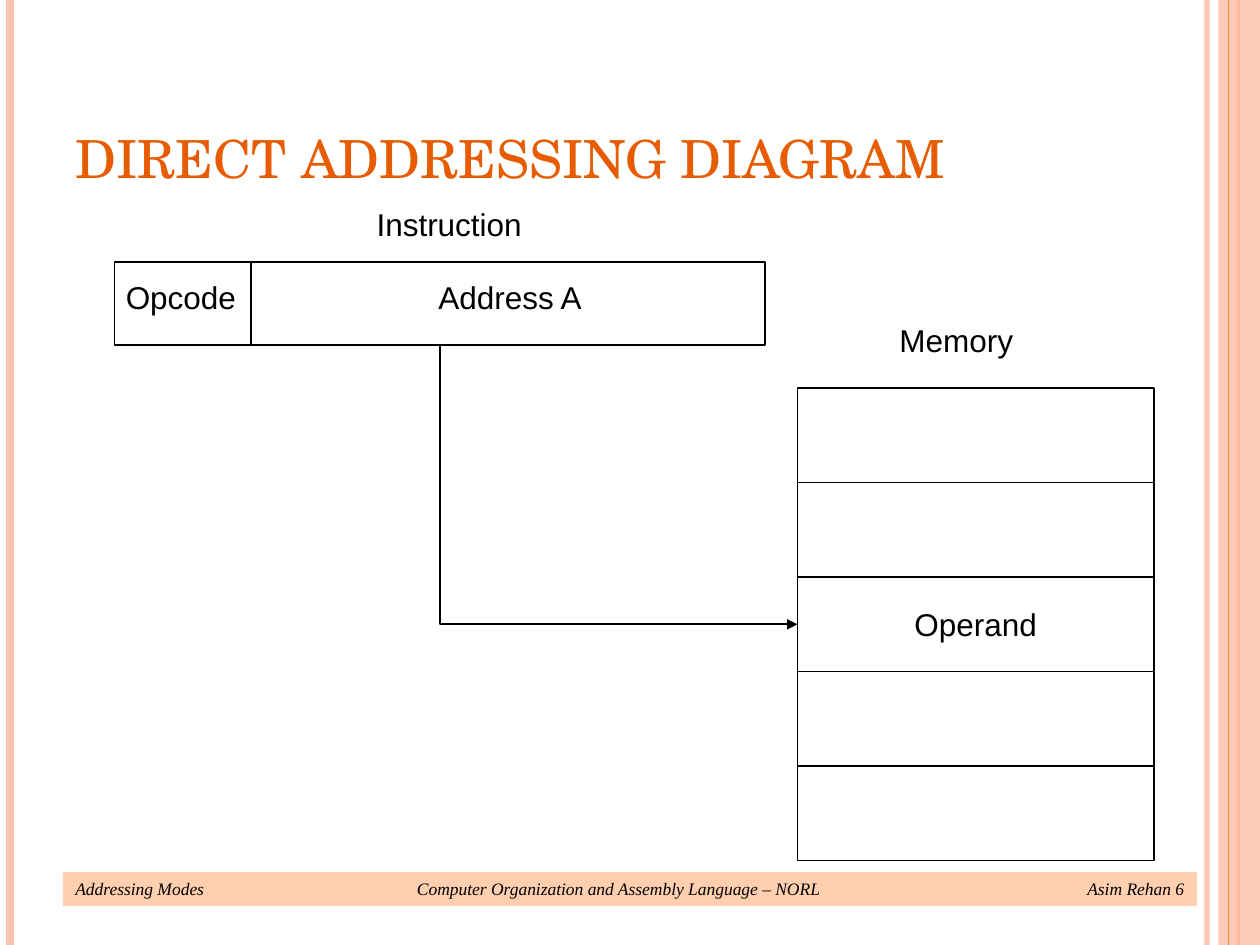
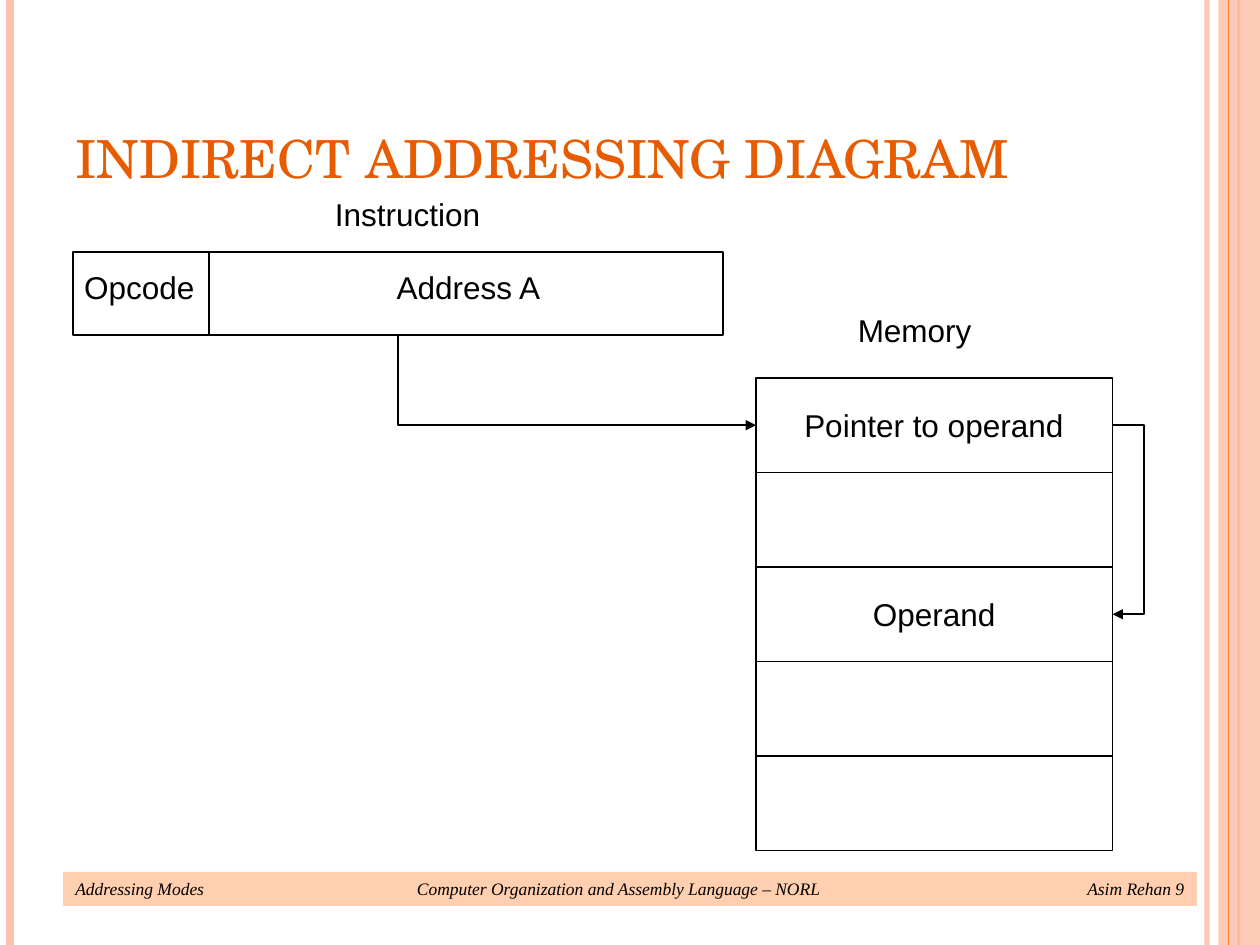
from lxml.etree import SubElement
from pptx import Presentation
from pptx.dml.color import RGBColor
from pptx.enum.shapes import MSO_CONNECTOR, MSO_SHAPE
from pptx.enum.text import MSO_ANCHOR, MSO_AUTO_SIZE as FIT, PP_ALIGN
from pptx.oxml.ns import qn
from pptx.util import Inches, Pt

# Shared look
BLACK, TITLE, BAND = "000000", "E75C01", "FFCFAF"
PINK, ORANGE = "FEC3AE", "FE8637"
TITLE_FONT, LABEL_FONT, FOOTER_FONT = "TeX Gyre Schola", "Arial", "Times New Roman"
SIDE_LINES = [  # x, colour, width in points, opacity in percent
    (9.58, PINK, 3, 93),
    (0.08, PINK, 4.5, 100),
    (9.83, ORANGE, 1.5, 100),
]
FOOTER = "Addressing Modes\tComputer Organization and Assembly Language – NORL\tAsim Rehan {}"

# Diagram sizes
INSTR_W, INSTR_H = 5.16, 0.66
MEM_DX, MEM_DY, MEM_W, ROW_H, ROWS = 5.42, 1.0, 2.83, 0.75, 5
LABEL_H = 0.4


def rgb(color):
    return RGBColor.from_string(color)


def set_opacity(sp, percent):
    for clr in sp._element.spPr.iter(qn("a:srgbClr")):
        SubElement(clr, qn("a:alpha"), val=str(percent * 1000))


def style_font(p, name, size, color, italic=False):
    p.font.name, p.font.size, p.font.italic = name, Pt(size), italic
    p.font.color.rgb = rgb(color)


def add_rect(slide, x, y, w, h, fill=None, line=None):
    sp = slide.shapes.add_shape(MSO_SHAPE.RECTANGLE, *map(Inches, (x, y, w, h)))
    sp.shadow.inherit = False
    if fill:
        sp.fill.solid()
        sp.fill.fore_color.rgb = rgb(fill)
    else:
        sp.fill.background()
    if line:
        sp.line.color.rgb = rgb(line)
        sp.line.width = Pt(1)
    else:
        sp.line.fill.background()
    return sp


def add_line(slide, x, y1, y2, color=BLACK, width=1):
    ln = slide.shapes.add_connector(MSO_CONNECTOR.STRAIGHT, *map(Inches, (x, y1, x, y2)))
    ln.line.color.rgb = rgb(color)
    ln.line.width = Pt(width)
    SubElement(ln._element.spPr, qn("a:effectLst"))
    return ln


def add_label(slide, text, x, y, w):
    sp = slide.shapes.add_textbox(*map(Inches, (x, y, w, LABEL_H)))
    tf = sp.text_frame
    tf.word_wrap = False
    tf.auto_size = FIT.SHAPE_TO_FIT_TEXT
    tf.text = text
    style_font(tf.paragraphs[0], LABEL_FONT, 18, BLACK)


def add_arrow(slide, points):
    start, *rest = [(Inches(x), Inches(y)) for x, y in points]
    builder = slide.shapes.build_freeform(*start)
    builder.add_line_segments(rest, close=False)
    sp = builder.convert_to_shape()
    sp.shadow.inherit = False
    sp.fill.background()
    sp.line.color.rgb = rgb(BLACK)
    sp.line.width = Pt(1)
    SubElement(sp.line._get_or_add_ln(), qn("a:tailEnd"), type="triangle")


def add_frame(slide, number):
    # Side stripes, the last line on top of the wide band
    for x, color, width, opacity in SIDE_LINES:
        ln = add_line(slide, x, 0, 7.5, color, width)
        if opacity < 100:
            set_opacity(ln, opacity)
    set_opacity(add_rect(slide, 9.67, 0, 0.33, 7.5, fill=PINK), 87)
    add_line(slide, 9.75, 0, 7.5, ORANGE, 0.75)

    # Footer band with centre and right tab stops
    tf = add_rect(slide, 0.5, 6.92, 9, 0.27, fill=BAND).text_frame
    tf.word_wrap = True
    tf.text = FOOTER.format(number)
    p = tf.paragraphs[0]
    p.alignment = PP_ALIGN.LEFT
    style_font(p, FOOTER_FONT, 10, BLACK, italic=True)
    tabs = SubElement(p._p.get_or_add_pPr(), qn("a:tabLst"))
    p._p.pPr.insert(0, tabs)
    for pos, align in ((4.31, "ctr"), (8.8, "r")):
        SubElement(tabs, qn("a:tab"), pos=str(Inches(pos)), algn=align)


def add_title(slide, text):
    sp = slide.shapes.title
    sp.left, sp.top, sp.width, sp.height = map(Inches, (0.5, 0.3, 8.17, 1.25))
    tf = sp.text_frame
    tf.auto_size = FIT.NONE
    tf.vertical_anchor = MSO_ANCHOR.BOTTOM
    tf.text = text
    p = tf.paragraphs[0]
    p.alignment = PP_ALIGN.LEFT
    style_font(p, TITLE_FONT, 30, TITLE)


def add_instruction(slide, x, y):
    add_rect(slide, x, y, INSTR_W, INSTR_H, line=BLACK)
    add_line(slide, x + 1.08, y + 0.01, y + INSTR_H)
    add_label(slide, "Address A", x + 2.47, y + 0.08, 1.35)
    add_label(slide, "Opcode", x - 0.01, y + 0.08, 1.1)
    add_label(slide, "Instruction", x + 1.98, y - 0.5, 1.35)


def add_memory(slide, x, y, contents):
    """contents maps a row index to its text and label width."""
    for row in range(ROWS):
        add_rect(slide, x, y + row * ROW_H, MEM_W, ROW_H, line=BLACK)
    add_label(slide, "Memory", x + 0.71, y - 0.58, 1.1)
    for row, (text, w) in contents.items():
        add_label(slide, text, x + (MEM_W - w) / 2, y + row * ROW_H + (ROW_H - LABEL_H) / 2, w)


def add_diagram_slide(prs, number, title, x, y, contents):
    slide = prs.slides.add_slide(prs.slide_layouts[5])
    add_frame(slide, number)
    add_title(slide, title)
    add_instruction(slide, x, y)
    mem_x, mem_y = x + MEM_DX, y + MEM_DY
    add_memory(slide, mem_x, mem_y, contents)

    # The address points to the first used row, each used row to the next
    mids = [mem_y + (row + 0.5) * ROW_H for row in contents]
    start_x = x + INSTR_W / 2
    add_arrow(slide, [(start_x, y + INSTR_H), (start_x, mids[0]), (mem_x, mids[0])])
    right = mem_x + MEM_W
    for y1, y2 in zip(mids, mids[1:]):
        add_arrow(slide, [(right, y1), (right + 0.25, y1), (right + 0.25, y2), (right, y2)])


def main():
    prs = Presentation()
    prs.slide_width, prs.slide_height = Inches(10), Inches(7.5)
    operand = ("Operand", 1.17)
    add_diagram_slide(prs, 6, "DIRECT ADDRESSING DIAGRAM", 0.91, 2.08, {2: operand})
    add_diagram_slide(prs, 9, "INDIRECT ADDRESSING DIAGRAM", 0.58, 2.0,
                      {0: ("Pointer to operand", 2.26), 2: operand})
    prs.save("out.pptx")


if __name__ == "__main__":
    main()
